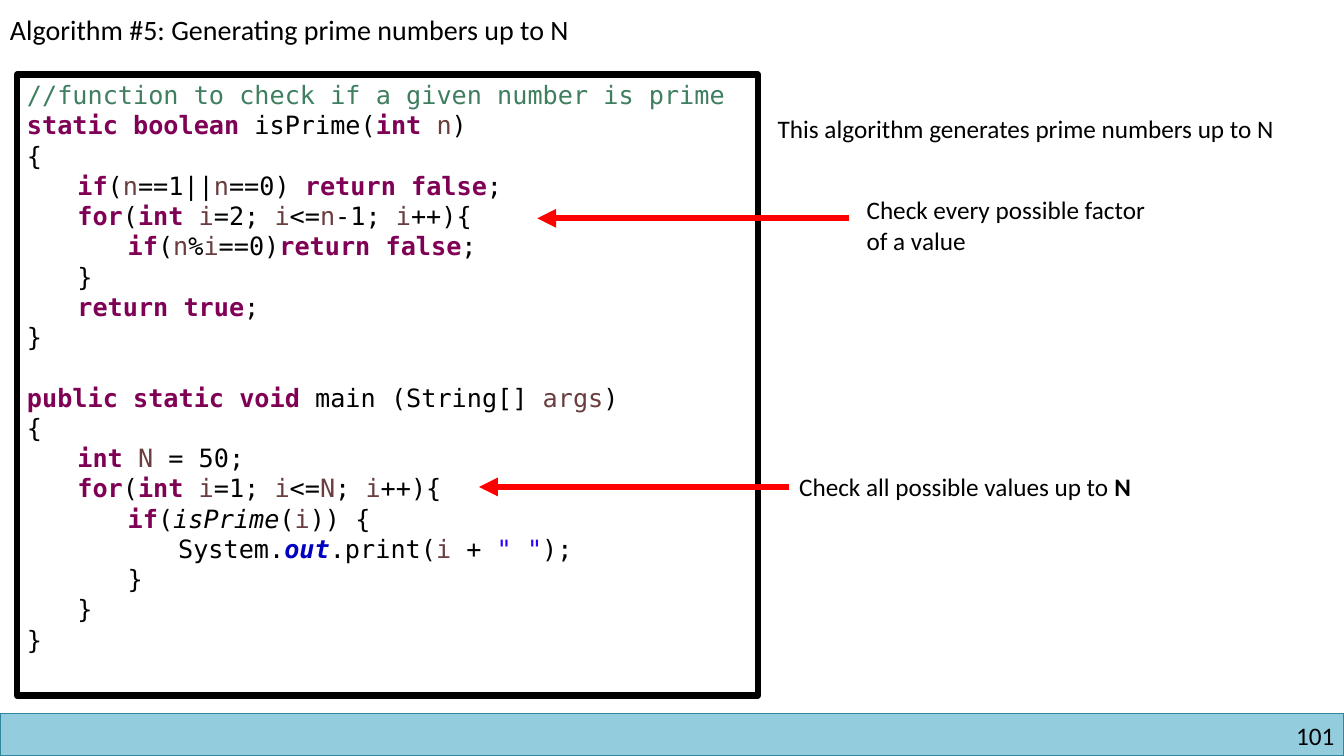
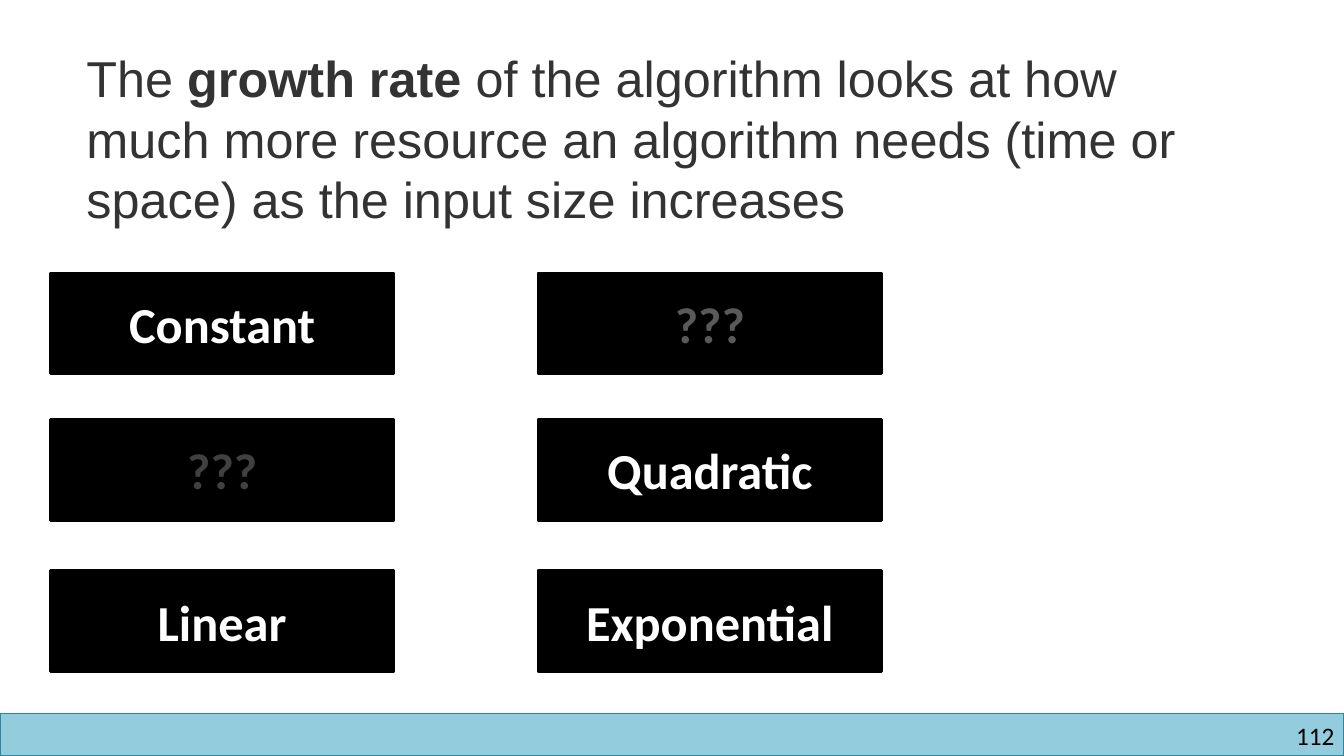
"""Build two algorithm slides: a prime number listing and a growth rate overview."""
from itertools import groupby

from lxml import etree
from pptx import Presentation
from pptx import util as u
from pptx.dml.color import RGBColor
from pptx.enum import shapes, text
from pptx.oxml.ns import qn

BLACK, WHITE, RED = "000000", "FFFFFF", "FF0000"
BAND, BAND_EDGE, BODY = "93CDDD", "31859C", "333333"
COMMENT, KEYWORD, VARIABLE = "3F7F5F", "7F0055", "6A3E3E"
FIELD, STRING = "0000C0", "2A00FF"
PLAIN_FONT, BODY_FONT, CODE_FONT = "Calibri", "Arial", "DejaVu Sans Mono"

KEYWORDS = "static boolean int if return false for true public void".split()
STYLES = {word: (KEYWORD, True, False) for word in KEYWORDS}
STYLES |= {word: (VARIABLE, False, False) for word in ("n", "i", "N", "args")}
STYLES |= {"out": (FIELD, True, True), '"': (STRING, False, False)}

CODE = """//function to check if a given number is prime
static boolean isPrime(int n)
{
\tif(n==1||n==0) return false;
\tfor(int i=2; i<=n-1; i++){
\t\tif(n%i==0)return false;
\t}
\treturn true;
}
public static void main (String[] args)
{
\tint N = 50;
\tfor(int i=1; i<=N; i++){
\t\tif(isPrime(i)) {
\t\t\tSystem.out.print(i + " ");
\t\t}
\t}
}"""


def paint(fill, colour):
    """Give a fill, also that of a line or font, a solid colour."""
    fill.solid()
    fill.fore_color.rgb = RGBColor.from_string(colour)


def write(para, spans, size, font=PLAIN_FONT):
    """Add spans of (text, colour, bold, italic) to a paragraph."""
    for words, colour, bold, italic in spans:
        span = para.add_run()
        span.text = words
        span.font.size = u.Pt(size)
        span.font.name = font
        span.font.bold = bold
        span.font.italic = italic
        paint(span.font.fill, colour)


deck = Presentation()
deck.slide_width, deck.slide_height = u.Cm(33.87), u.Cm(19.05)

pages = []
for number in ("101", "112"):
    page = deck.slides.add_slide(deck.slide_layouts[6])
    pages.append(page)
    band = page.shapes.add_shape(
        shapes.MSO_SHAPE.RECTANGLE, 0, u.Cm(17.98), deck.slide_width, u.Cm(1.07))
    band.shadow.inherit = False
    paint(band.fill, BAND)
    paint(band.line.fill, BAND_EDGE)
    band.line.width = u.Pt(1)
    box = page.shapes.add_textbox(u.Cm(25.83), u.Cm(18.16), u.Cm(7.8), u.Cm(0.76))
    frame = box.text_frame
    frame.word_wrap = True
    frame.margin_left = frame.margin_top = frame.margin_right = frame.margin_bottom = 0
    frame.paragraphs[0].alignment = text.PP_ALIGN.RIGHT
    write(frame.paragraphs[0], [(number, BLACK, False, False)], 18)

prime_page, growth_page = pages

listing = prime_page.shapes.add_shape(
    shapes.MSO_SHAPE.RECTANGLE, u.Cm(0.43), u.Cm(1.88), u.Cm(18.67), u.Cm(15.65))
listing.shadow.inherit = False
listing.fill.background()
paint(listing.line.fill, BLACK)
listing.line.width = u.Pt(4.5)
frame = listing.text_frame
frame.word_wrap = True
frame.vertical_anchor = text.MSO_ANCHOR.TOP
for index, line in enumerate(CODE.split("\n")):
    para = frame.add_paragraph() if index else frame.paragraphs[0]
    para.alignment = text.PP_ALIGN.LEFT
    if line.startswith("public"):
        para.space_before = u.Pt(21.6)
    if line.startswith("//"):
        spans = [(line, COMMENT, False, False)]
    else:
        spans = []
        for _, letters in groupby(line, lambda c: c.isalnum() or c == '"' and c):
            word = "".join(letters)
            is_call = word == "isPrime" and line.startswith("\t")
            spans.append((word, *STYLES.get(word, (BLACK, False, is_call))))
    write(para, spans, 18, CODE_FONT)

for start, end, height in ((19.89, 12.07, 12.27), (21.39, 13.54, 5.5)):
    arrow = prime_page.shapes.add_connector(
        shapes.MSO_CONNECTOR.STRAIGHT, u.Cm(start), u.Cm(height), u.Cm(end), u.Cm(height))
    paint(arrow.line.fill, RED)
    arrow.line.width = u.Pt(4.5)
    etree.SubElement(arrow.line._get_or_add_ln(), qn("a:tailEnd"), type="triangle")
    etree.SubElement(arrow._element.spPr, qn("a:effectLst"))

text_boxes = [
    (prime_page, (0, 0.2, 15.85, 1.12), 20, PLAIN_FONT, BLACK,
     [("Algorithm #5: Generating prime numbers up to N", False)]),
    (prime_page, (19.35, 2.74, 14.27, 1.02), 18, PLAIN_FONT, BLACK,
     [("This algorithm generates prime numbers up to N", False)]),
    (prime_page, (19.89, 11.76, 10.62, 1.02), 18, PLAIN_FONT, BLACK,
     [("Check all possible values up to ", False), ("N", True)]),
    (prime_page, (21.59, 4.78, 7.82, 1.8), 18, PLAIN_FONT, BLACK,
     [("Check every possible factor of a value", False)]),
    (growth_page, (1.93, 1.07, 28.04, 4.88), 36, BODY_FONT, BODY,
     [("The", False), (" growth rate ", True),
      ("of the algorithm looks at how much more resource an algorithm needs "
       "(time or space) as the input size increases", False)]),
]
for page, place, size, font, colour, parts in text_boxes:
    box = page.shapes.add_textbox(*map(u.Cm, place))
    box.text_frame.word_wrap = True
    spans = [(words, colour, bold, False) for words, bold in parts]
    write(box.text_frame.paragraphs[0], spans, size, font)

rates = {
    1.27: [("Constant", WHITE), ("???", "404040"), ("Linear", WHITE)],
    13.56: [("???", "595959"), ("Quadratic", WHITE), ("Exponential", WHITE)],
}
for left, column in rates.items():
    for top, (name, colour) in zip((6.88, 10.57, 14.38), column):
        tile = growth_page.shapes.add_shape(
            shapes.MSO_SHAPE.RECTANGLE, u.Cm(left), u.Cm(top), u.Cm(8.66), u.Cm(2.54))
        tile.shadow.inherit = False
        paint(tile.fill, BLACK)
        paint(tile.line.fill, BLACK)
        tile.line.width = u.Pt(2)
        frame = tile.text_frame
        frame.word_wrap = True
        frame.vertical_anchor = text.MSO_ANCHOR.MIDDLE
        frame.paragraphs[0].alignment = text.PP_ALIGN.CENTER
        write(frame.paragraphs[0], [(name, colour, True, False)], 36)

deck.save("out.pptx")
